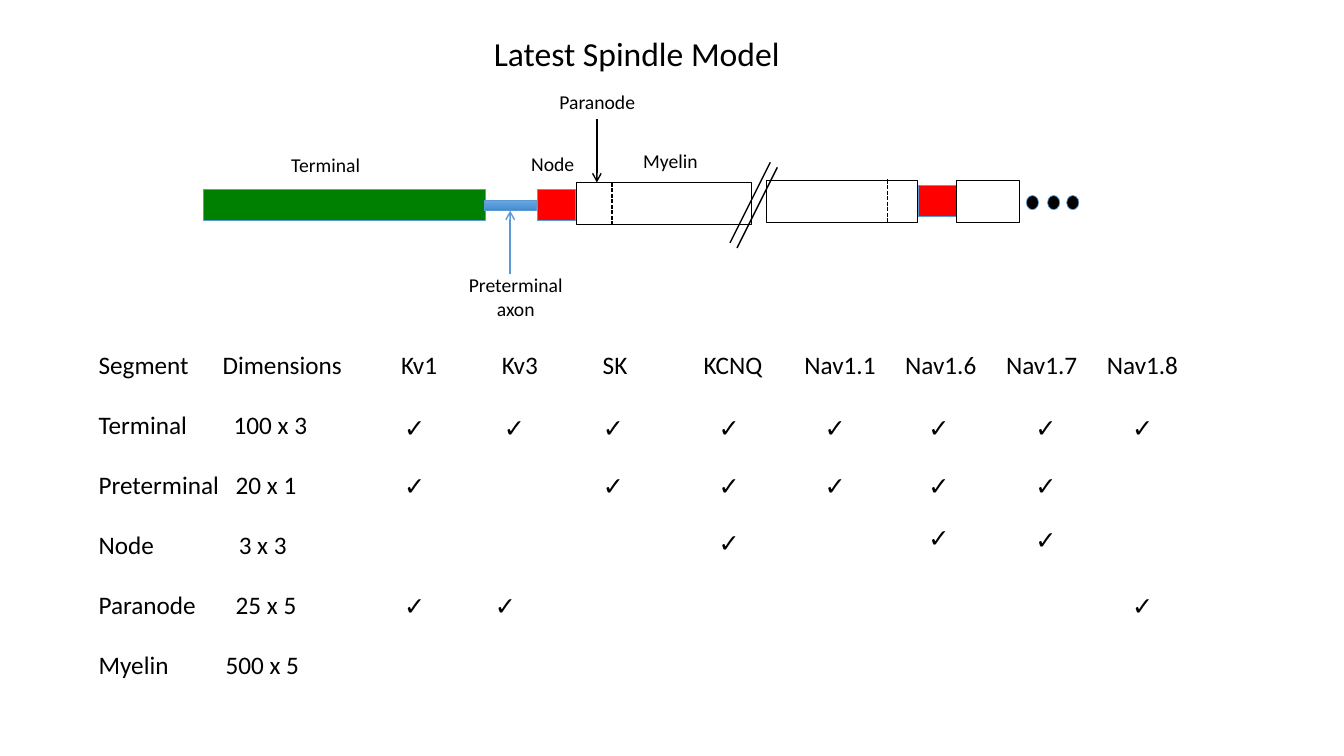
from copy import deepcopy
from dataclasses import dataclass
from typing import Optional

from lxml.etree import SubElement
from pptx import Presentation
from pptx.dml.color import RGBColor
from pptx.enum.dml import MSO_LINE
from pptx.enum.shapes import MSO_CONNECTOR, MSO_SHAPE
from pptx.enum.text import MSO_AUTO_SIZE, PP_ALIGN
from pptx.oxml.ns import qn
from pptx.util import Emu, Pt


@dataclass(frozen=True)
class Theme:
    font: str = "Calibri"
    black: str = "000000"
    terminal: str = "008000"
    node: str = "FF0000"
    outline: str = "5B9BD5"
    axon: tuple = ((0, "71A6DB"), (0.5, "559BDB"), (1, "448ACA"))
    title: float = 24
    body: float = 18
    label: float = 14
    row_gap: float = 21.2
    thin: float = 0.5
    stroke: float = 1


@dataclass(frozen=True)
class Part:
    left: int
    top: int
    width: int
    height: int
    fill: Optional[str] = None
    outline: str = "000000"
    preset: MSO_SHAPE = MSO_SHAPE.RECTANGLE


@dataclass(frozen=True)
class Stroke:
    x1: int
    y1: int
    x2: int
    y2: int
    color: str = "000000"
    dashed: bool = False
    arrow: bool = False


@dataclass(frozen=True)
class Label:
    text: str
    left: int
    top: int
    width: int
    height: int = 34
    align: Optional[PP_ALIGN] = None


@dataclass(frozen=True)
class Segment:
    name: str
    dimensions: str
    tab: int
    marks_top: int = 0
    channels: tuple = ()


THEME = Theme()
PX = 9144

TERMINAL = Part(202, 188, 279, 31, THEME.terminal, THEME.outline)
AXON = Part(480, 199, 52, 10, None, THEME.outline)
NODES = [Part(left, top, 38, 31, THEME.node, THEME.outline)
         for left, top in ((533, 188), (911, 184))]
MYELIN = [Part(572, 181, 173, 42), Part(760, 179, 150, 42), Part(949, 179, 62, 42)]
DOTS = [Part(left, 194, 12, 14, THEME.black, THEME.outline, MSO_SHAPE.OVAL)
        for left in (1018, 1039, 1058)]
BREAK = [Stroke(764 + 7 * i, 161 + 5 * i, 724 + 7 * i, 241 + 5 * i) for i in range(2)]
PARANODE_EDGES = [Stroke(x, top, x, top + 42, dashed=True)
                  for x, top in ((607, 181), (880, 178))]
PARANODE_ARROW = Stroke(592, 118, 592, 181, arrow=True)
AXON_ARROW = Stroke(506, 272, 506, 209, THEME.outline, arrow=True)
LABELS = [
    Label("Terminal", 279, 147, 91),
    Label("Node", 517, 146, 64),
    Label("Myelin", 628, 143, 75),
    Label("Preterminal\naxon", 454, 266, 115, 57, PP_ALIGN.CENTER),
    Label("Paranode", 545, 84, 97),
]

CHANNELS = {"Kv1": 391, "Kv3": 490, "SK": 588, "KCNQ": 703,
            "Nav1.1": 808, "Nav1.6": 911, "Nav1.7": 1017, "Nav1.8": 1113}
SEGMENTS = [
    Segment("Terminal", "100 x 3", 134, 404, tuple(CHANNELS)),
    Segment("Preterminal", "20 x 1", 136, 462,
            ("Kv1", "SK", "KCNQ", "Nav1.1", "Nav1.6", "Nav1.7")),
    Segment("Node", "3 x 3", 139, 515, ("KCNQ", "Nav1.6", "Nav1.7")),
    Segment("Paranode", "25 x 5", 136, 581, ("Kv1", "Kv3", "Nav1.8")),
    Segment("Myelin", "500 x 5", 126),
]
NUDGES = {("Node", "KCNQ"): (0, 3), ("Node", "Nav1.6"): (0, -2),
          ("Paranode", "Kv3"): (-9, 0)}


def px(value: int) -> Emu:
    return Emu(value * PX)


def rgb(color: str) -> RGBColor:
    return RGBColor.from_string(color)


def draw_part(shapes, part: Part):
    shape = shapes.add_shape(part.preset, px(part.left), px(part.top),
                             px(part.width), px(part.height))
    shape.shadow.inherit = False
    shape.line.color.rgb = rgb(part.outline)
    shape.line.width = Pt(THEME.thin)
    if part.fill:
        shape.fill.solid()
        shape.fill.fore_color.rgb = rgb(part.fill)
    else:
        shape.fill.background()
    return shape


def shade_axon(axon) -> None:
    axon.fill.gradient()
    axon.fill.gradient_angle = 270
    stops = axon._element.spPr.find(qn("a:gradFill")).find(qn("a:gsLst"))
    stops.insert(1, deepcopy(stops[0]))
    for stop, (position, color) in zip(axon.fill.gradient_stops, THEME.axon):
        stop.position = position
        stop.color.rgb = rgb(color)


def draw_stroke(shapes, stroke: Stroke):
    line = shapes.add_connector(MSO_CONNECTOR.STRAIGHT, px(stroke.x1), px(stroke.y1),
                                px(stroke.x2), px(stroke.y2))
    line.line.color.rgb = rgb(stroke.color)
    line.line.width = Pt(THEME.stroke)
    if stroke.dashed:
        line.line.dash_style = MSO_LINE.SQUARE_DOT
    if stroke.arrow:
        SubElement(line.line._get_or_add_ln(), qn("a:tailEnd"), type="arrow")
    SubElement(line._element.spPr, qn("a:effectLst"))
    return line


def style(paragraph, size: float) -> None:
    paragraph.font.name = THEME.font
    paragraph.font.size = Pt(size)
    paragraph.font.color.rgb = rgb(THEME.black)


def draw_label(shapes, label: Label, size: float) -> None:
    box = shapes.add_textbox(px(label.left), px(label.top), px(label.width), px(label.height))
    frame = box.text_frame
    frame.word_wrap = False
    frame.auto_size = MSO_AUTO_SIZE.SHAPE_TO_FIT_TEXT
    frame.text = label.text
    for paragraph in frame.paragraphs:
        paragraph.alignment = label.align
        style(paragraph, size)


def draw_axon_model(shapes) -> None:
    draw_part(shapes, TERMINAL)
    axon = draw_part(shapes, AXON)
    shade_axon(axon)
    for part in NODES + MYELIN + DOTS:
        draw_part(shapes, part)
    for stroke in BREAK + PARANODE_EDGES + [PARANODE_ARROW]:
        draw_stroke(shapes, stroke)
    draw_stroke(shapes, AXON_ARROW).end_connect(axon, 2)
    for label in LABELS:
        draw_label(shapes, label, THEME.label)


def draw_segments(shapes) -> None:
    frame = shapes.add_textbox(px(88), px(342), px(1107), px(343)).text_frame
    frame.word_wrap = True
    header_tabs = [123] + [300 + 100 * i for i in range(len(CHANNELS))]
    rows = [(("Segment", "Dimensions", *CHANNELS), header_tabs)]
    rows += [((s.name, s.dimensions), [s.tab]) for s in SEGMENTS]
    for index, (cells, tabs) in enumerate(rows):
        row = frame.add_paragraph() if index else frame.paragraphs[0]
        row.text = "\t".join(cells)
        tab_list = SubElement(row._p.get_or_add_pPr(), qn("a:tabLst"))
        for tab in tabs:
            SubElement(tab_list, qn("a:tab"), pos=str(px(tab)), algn="l")
        if index:
            row.space_before = Pt(THEME.row_gap)
        style(row, THEME.body)
    for segment in SEGMENTS:
        for channel in segment.channels:
            dx, dy = NUDGES.get((segment.name, channel), (0, 0))
            mark = Label("✓", CHANNELS[channel] + dx, segment.marks_top + dy, 39, 40)
            draw_label(shapes, mark, THEME.body)


def main() -> None:
    deck = Presentation()
    deck.slide_width, deck.slide_height = px(1333), px(750)
    slide = deck.slides.add_slide(deck.slide_layouts[6])
    draw_axon_model(slide.shapes.add_group_shape().shapes)
    draw_segments(slide.shapes)
    draw_label(slide.shapes, Label("Latest Spindle Model", 480, 28, 306, 50), THEME.title)
    deck.save("out.pptx")


if __name__ == "__main__":
    main()
